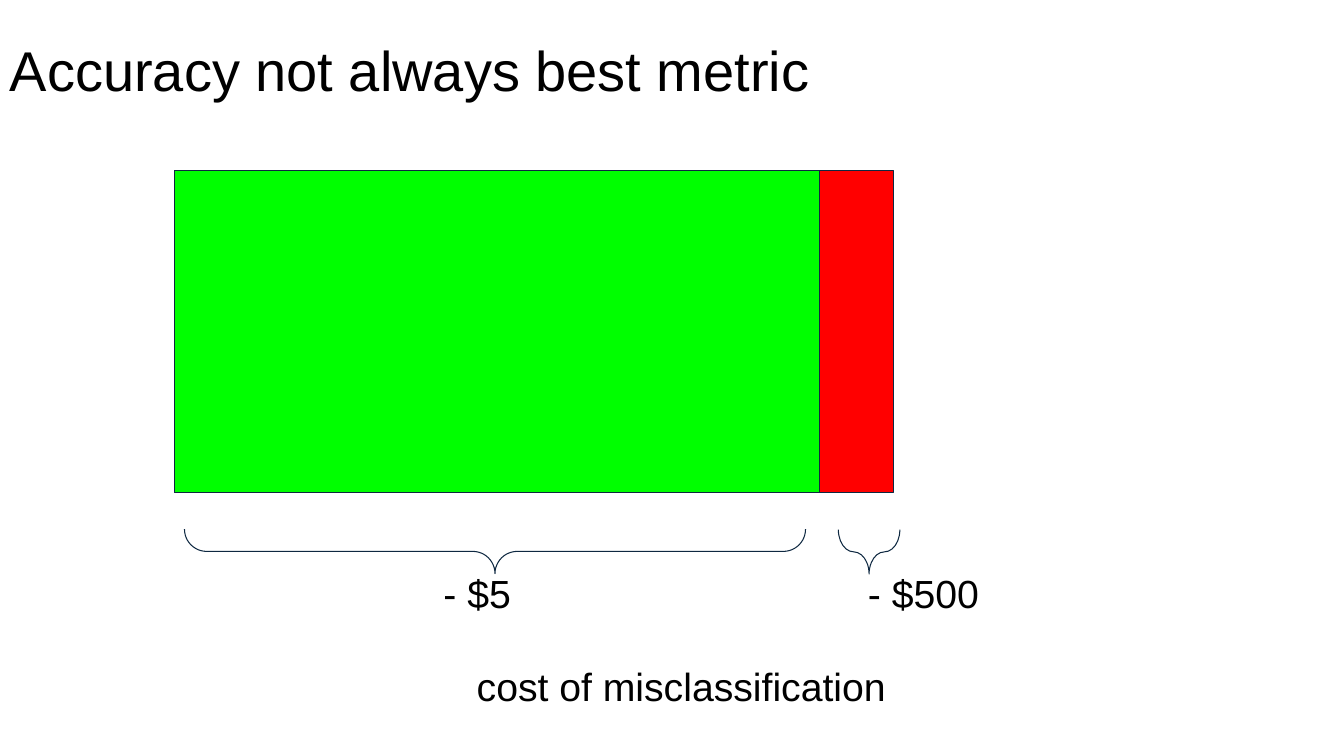
from pptx import Presentation
from pptx.dml.color import RGBColor
from pptx.enum.shapes import MSO_SHAPE as Shape
from pptx.enum.text import MSO_ANCHOR as Anchor
from pptx.util import Pt

PX = 9144  # 100 px to the inch
BLACK = RGBColor(0x00, 0x00, 0x00)
NAVY = RGBColor(0x0E, 0x28, 0x41)
GREEN = RGBColor(0x00, 0xFF, 0x00)
RED = RGBColor(0xFF, 0x00, 0x00)


def add_text(page, box, text, size=28, inset=10, indent=0):
    frame = page.shapes.add_textbox(*(n * PX for n in box)).text_frame
    frame.word_wrap = True
    frame.margin_left = frame.margin_right = 10 * PX
    frame.margin_top = frame.margin_bottom = inset * PX
    para = frame.paragraphs[0]
    para.text = text
    if indent:
        para._p.get_or_add_pPr().set("marL", str(indent * PX))
    para.font.name = "Arial"
    para.font.size = Pt(size)
    para.font.color.rgb = BLACK
    return frame


def add_outlined(page, kind, box):
    shape = page.shapes.add_shape(kind, *(n * PX for n in box))
    shape.shadow.inherit = False
    shape.line.color.rgb = NAVY
    shape.line.width = Pt(0.75)
    return shape


def add_bar(page, box, color):
    bar = add_outlined(page, Shape.RECTANGLE, box)
    bar.fill.solid()
    bar.fill.fore_color.rgb = color


def add_brace_below(page, box):
    """Fill the box with a brace that points down."""
    left, top, width, height = box
    shift = (width - height) // 2
    brace = add_outlined(page, Shape.LEFT_BRACE,
                         (left + shift, top - shift, height, width))
    brace.rotation = 270
    brace.adjustments[0] = brace.adjustments[1] = 0.5
    brace.fill.background()


def add_title(page, box, text):
    frame = add_text(page, box, text, size=40, inset=5)
    frame.vertical_anchor = Anchor.MIDDLE
    frame.paragraphs[0].line_spacing = 0.9


def add_class_split(page, box, common_width):
    """Draw the common and the rare class side by side."""
    left, top, width, height = box
    add_bar(page, (left, top, common_width, height), GREEN)
    add_bar(page, (left + common_width, top, width - common_width, height), RED)


def add_costs(page, box):
    """Draw the braces, the cost of each class and the caption."""
    left, top, width, _ = box
    add_brace_below(page, (left, top, 616, 44))
    add_brace_below(page, (left + 649, top, 61, 44))
    add_text(page, (left + 247, top + 30, 125, 64), "- $5")
    add_text(page, (left + 618, top + 30, width - 618, 64), "- $500", indent=50)
    add_text(page, (left + 280, top + 122, 443, 64), "cost of misclassification")


def main():
    deck = Presentation()
    deck.slide_width, deck.slide_height = 1333 * PX, 750 * PX
    page = deck.slides.add_slide(deck.slide_layouts[6])
    add_title(page, (0, 0, 1333, 145), "Accuracy not always best metric")
    add_class_split(page, (173, 169, 713, 320), common_width=640)
    add_costs(page, (183, 525, 907, 186))
    deck.save("out.pptx")


if __name__ == "__main__":
    main()
